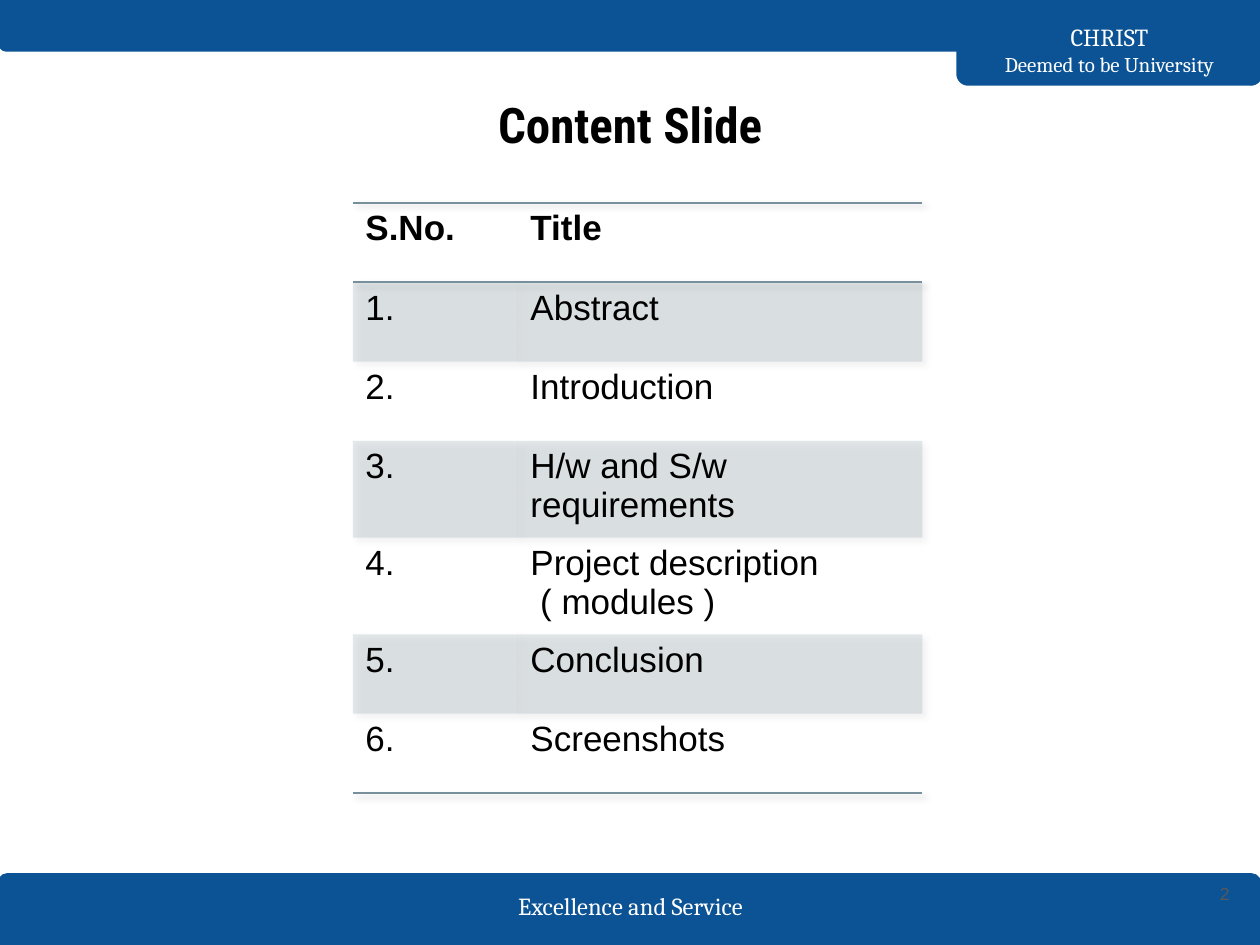
from lxml import etree
from pptx import Presentation, util as u
from pptx.dml.color import RGBColor
from pptx.enum import shapes, text
from pptx.oxml import parse_xml
from pptx.oxml.ns import qn

# Content
TITLE = "Content Slide"
SCHOOL = [("CHRIST", 14), ("Deemed to be University", 12)]
MOTTO = "Excellence and Service"
PAGE = "2"
HEADER = ("S.No.", "Title")
TOPICS = ["Abstract", "Introduction", "H/w and S/w requirements",
          "Project description\n ( modules )", "Conclusion", "Screenshots"]

THEME = dict(blue="0B5394", white="FFFFFF", black="000000", gray="595959", slate="78909C",
             serif="Cambria", sans="Arial", head="Roboto Condensed",
             title=28, table=20, motto=14, page=10)

# Left, top, width, height, rotation
BANDS = [(-0.01, 6.94, 10.01, 0.56, 0), (7.6, 0, 2.41, 0.67, 180), (0, 0, 10.01, 0.4, 180)]
TABLE_AT = (2.8, 1.61, 4.52, 4.41)
COLUMNS = (1.31, 3.21)
NO_STYLE = "{2D5ABB26-0587-4C30-8999-92F81FD0307C}"
A = 'xmlns:a="http://schemas.openxmlformats.org/drawingml/2006/main"'


def color(name):
    return RGBColor.from_string(THEME[name])


def inches(box):
    return [u.Inches(v) for v in box]


def style(p, size, face, ink, bold=False):
    f = p.font
    f.size, f.name, f.bold = u.Pt(size), THEME[face], bold
    f.color.rgb = color(ink)


def add_band(s, *box, rotation):
    sp = s.shapes.add_shape(shapes.MSO_SHAPE.ROUND_2_SAME_RECTANGLE, *inches(box))
    sp.adjustments[0], sp.adjustments[1] = 0.125, 0
    sp.rotation = rotation
    sp.shadow.inherit = False
    sp.fill.solid()
    sp.fill.fore_color.rgb = sp.line.color.rgb = color("blue")
    sp.line.width = u.Pt(1.5)


def add_text(s, box, lines, face, ink, bold=False, anchor=text.MSO_ANCHOR.MIDDLE):
    tf = s.shapes.add_textbox(*inches(box)).text_frame
    tf.word_wrap = True
    tf.vertical_anchor = anchor
    tf.margin_left = tf.margin_right = tf.margin_top = tf.margin_bottom = u.Inches(0.1)
    for i, (line, size) in enumerate(lines):
        p = tf.add_paragraph() if i else tf.paragraphs[0]
        p.text = line
        p.alignment = text.PP_ALIGN.CENTER
        style(p, size, face, ink, bold)


def add_border(cell, side):
    cell._tc.get_or_add_tcPr().append(parse_xml(
        f'<a:ln{side} {A} w="12700"><a:solidFill><a:srgbClr val="{THEME["slate"]}"/>'
        f'</a:solidFill></a:ln{side}>'))


def add_contents(s):
    rows = [HEADER] + [(f"{n}.", topic) for n, topic in enumerate(TOPICS, 1)]
    table = s.shapes.add_table(len(rows), len(COLUMNS), *inches(TABLE_AT)).table
    props = table._tbl.tblPr
    props.find(qn("a:tableStyleId")).text = NO_STYLE
    props.insert(0, parse_xml(  # soft shadow
        f'<a:effectLst {A}><a:outerShdw blurRad="50800" dist="38100" dir="2700000">'
        '<a:srgbClr val="000000"><a:alpha val="25000"/></a:srgbClr></a:outerShdw></a:effectLst>'))
    for column, width in zip(table.columns, COLUMNS):
        column.width = u.Inches(width)
    for i, row in enumerate(rows):
        for j, value in enumerate(row):
            cell = table.cell(i, j)
            cell.text = value
            for p in cell.text_frame.paragraphs:
                style(p, THEME["table"], "sans", "black", bold=i == 0)
            if i == 0:
                add_border(cell, "T")
            if i in (0, len(rows) - 1):
                add_border(cell, "B")
            if i % 2:
                cell.fill.solid()
                cell.fill.fore_color.rgb = color("slate")
                tint = cell._tc.tcPr.find(qn("a:solidFill"))[0]
                etree.SubElement(tint, qn("a:alpha")).set("val", "20000")
            else:
                cell.fill.background()


def main():
    prs = Presentation()
    prs.slide_width, prs.slide_height = u.Inches(10), u.Inches(7.5)
    s = prs.slides.add_slide(prs.slide_layouts[6])
    # Frame
    for *box, rotation in BANDS:
        add_band(s, *box, rotation=rotation)
    add_text(s, (3.66, 7.03, 2.69, 0.32), [(MOTTO, THEME["motto"])], "serif", "white")
    add_text(s, (7.6, 0.27, 2.41, 0.25), SCHOOL, "serif", "white")
    add_text(s, (9.47, 6.92, 0.5, 0.34), [(PAGE, THEME["page"])], "sans", "gray")
    # Title and contents
    add_text(s, (0.34, 0.65, 9.32, 0.83), [(TITLE, THEME["title"])], "head", "black",
             bold=True, anchor=text.MSO_ANCHOR.TOP)
    add_contents(s)
    prs.save("out.pptx")


if __name__ == "__main__":
    main()
